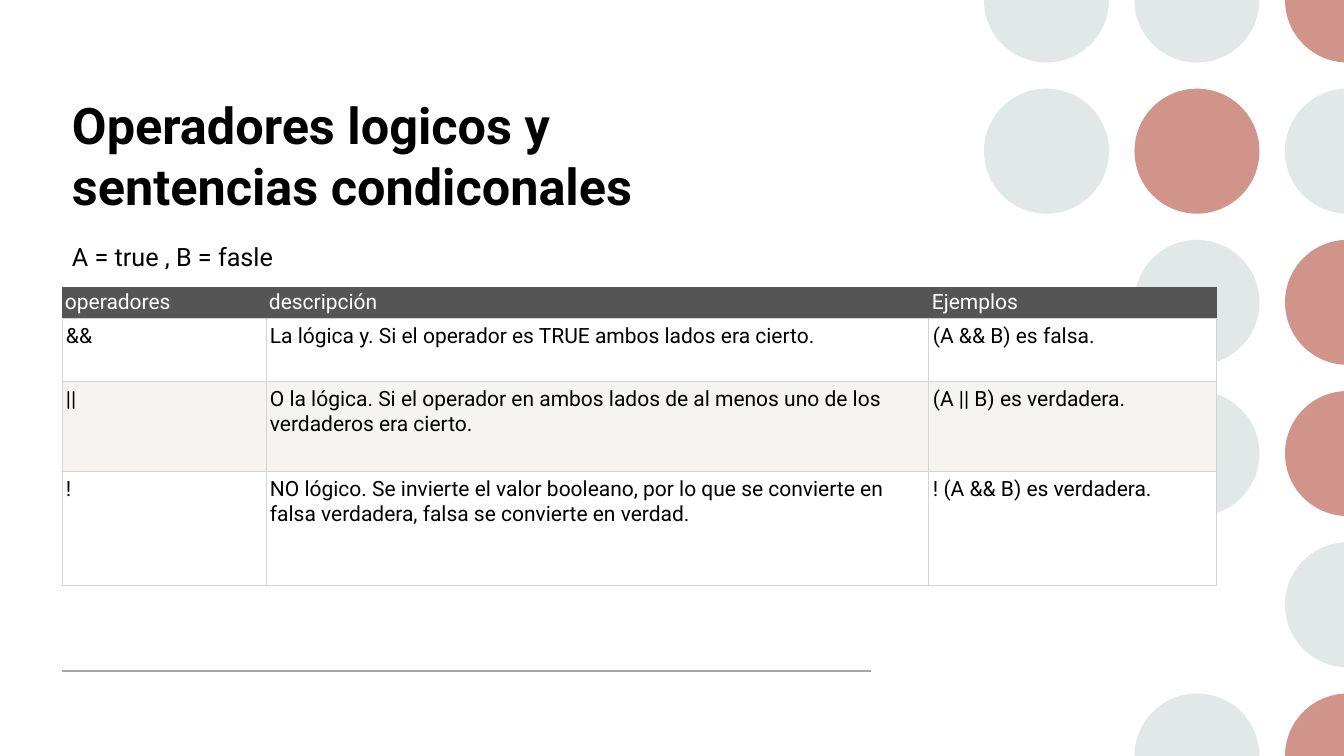
import math
from dataclasses import dataclass

from lxml import etree
from pptx import Presentation
from pptx import util as u
from pptx.dml.color import RGBColor
from pptx.enum import shapes, text
from pptx.oxml.ns import qn

EMU_PER_PX = 914400 / 100.8
SLIDE_W, SLIDE_H = 1344, 756


@dataclass(frozen=True)
class Theme:
    font: str = "Roboto"
    ink: str = "000000"
    paper: str = "FFFFFF"
    band: str = "F6F4F0"
    header: str = "555555"
    grid: str = "D4D4D4"
    rule: str = "A6A6A6"
    mist: str = "E2E7E8"
    clay: str = "D0948A"
    title_pt: int = 36
    note_pt: int = 18
    table_pt: int = 15


T = Theme()

DOTS = [
    (T.mist, T.mist, T.clay),
    (T.mist, T.clay, T.mist),
    (None, T.mist, T.clay),
    (None, T.mist, T.clay),
    (None, None, T.mist),
    (None, T.mist, T.clay),
]

ROWS = [
    ("operadores", "descripción", "Ejemplos"),
    ("&&", "La lógica y. Si el operador es TRUE ambos lados era cierto.",
     "(A && B) es falsa."),
    ("||", "O la lógica. Si el operador en ambos lados de al menos uno de los "
     "verdaderos era cierto.", "(A || B) es verdadera."),
    ("!", "NO lógico. Se invierte el valor booleano, por lo que se convierte en "
     "falsa verdadera, falsa se convierte en verdad.", "! (A && B) es verdadera."),
]


def px(n):
    return u.Emu(round(n * EMU_PER_PX))


def rgb(color):
    return RGBColor.from_string(color)


def write(tf, words, size, color=T.ink, bold=False):
    p = tf.paragraphs[0]
    p.alignment = text.PP_ALIGN.LEFT
    r = p.add_run()
    r.text = words
    r.font.name = T.font
    r.font.size = u.Pt(size)
    r.font.bold = bold
    r.font.color.rgb = rgb(color)


def set_insets(frame, x, y):
    frame.margin_left = frame.margin_right = px(x)
    frame.margin_top = frame.margin_bottom = px(y)


def add_point(path, tag, x, y):
    etree.SubElement(etree.SubElement(path, qn(tag)), qn("a:pt"), x=str(px(x)), y=str(px(y)))


def add_cut_dot(s, cx, cy, radius):
    left, right = cx - radius, min(cx + radius, SLIDE_W)
    top, bottom = max(cy - radius, 0), min(cy + radius, SLIDE_H)
    at_right, at_top, at_bottom = cx + radius > SLIDE_W, cy < radius, cy + radius > SLIDE_H
    cut = math.degrees(math.acos((right - cx) / radius))
    start = 180 if at_bottom else cut
    end = 180 if at_top else 360 - cut

    outline = s.shapes.build_freeform(px(left), px(top))
    outline.add_line_segments([(px(right), px(top)), (px(right), px(bottom)),
                               (px(left), px(bottom))])
    sp = outline.convert_to_shape()
    path = next(sp._element.iter(qn("a:path")))
    for step in list(path):
        path.remove(step)
    add_point(path, "a:moveTo", cx + radius * math.cos(math.radians(start)) - left,
              cy + radius * math.sin(math.radians(start)) - top)
    etree.SubElement(path, qn("a:arcTo"), wR=str(px(radius)), hR=str(px(radius)),
                     stAng=str(round(start * 60000)), swAng=str(round((end - start) * 60000)))
    if at_right and (at_top or at_bottom):
        add_point(path, "a:lnTo", right - left, 0 if at_top else bottom - top)
    etree.SubElement(path, qn("a:close"))
    return sp


def add_dot(s, cx, cy, radius, color):
    if cx + radius <= SLIDE_W and radius <= cy <= SLIDE_H - radius:
        sp = s.shapes.add_shape(shapes.MSO_SHAPE.OVAL, px(cx - radius), px(cy - radius),
                                px(2 * radius), px(2 * radius))
    else:
        sp = add_cut_dot(s, cx, cy, radius)
    sp.shadow.inherit = False
    sp.fill.solid()
    sp.fill.fore_color.rgb = rgb(color)
    sp.line.fill.background()


def add_dot_pattern(s, left, top, width, height):
    diameter = 125
    pitch = height / (len(DOTS) - 1)
    for row, colors in enumerate(DOTS):
        for col, color in enumerate(colors):
            if color:
                add_dot(s, left + diameter / 2 + col * width / 2, top + row * pitch,
                        diameter / 2, color)


def add_rule(s, left, top, width):
    line = s.shapes.add_connector(shapes.MSO_CONNECTOR.STRAIGHT, px(left), px(top),
                                  px(left + width), px(top))
    line.line.color.rgb = rgb(T.rule)
    line.line.width = u.Pt(1)
    etree.SubElement(line._element.spPr, qn("a:effectLst"))


def add_heading(s, left, top, width, height):
    title = s.shapes.title
    title.left, title.top, title.width, title.height = map(px, (left, top, width, height))
    tf = title.text_frame
    tf.word_wrap = True
    tf.auto_size = text.MSO_AUTO_SIZE.NONE
    tf.vertical_anchor = text.MSO_ANCHOR.MIDDLE
    set_insets(tf, 10, 5)
    write(tf, "Operadores logicos y sentencias condiconales", T.title_pt, bold=True)

    note = s.shapes.add_textbox(px(left), px(top + height + 11), px(237), px(40))
    tf = note.text_frame
    tf.word_wrap = False
    tf.auto_size = text.MSO_AUTO_SIZE.SHAPE_TO_FIT_TEXT
    set_insets(tf, 10, 5)
    write(tf, "A = true , B = fasle", T.note_pt)


def set_borders(cell, **colors):
    tcPr = cell._tc.get_or_add_tcPr()
    for i, side in enumerate("LRTB"):
        ln = etree.Element(qn("a:ln" + side), w=str(u.Pt(0.75)))
        fill = etree.SubElement(ln, qn("a:solidFill"))
        etree.SubElement(fill, qn("a:srgbClr"), val=colors.get(side, T.grid))
        tcPr.insert(i, ln)


def add_operator_table(s, left, top, widths, heights):
    frame = s.shapes.add_table(len(heights), len(widths), px(left), px(top),
                               px(sum(widths)), px(sum(heights)))
    table = frame.table
    table.horz_banding = False
    for column, width in zip(table.columns, widths):
        column.width = px(width)
    for i, (row, height, words) in enumerate(zip(table.rows, heights, ROWS)):
        row.height = px(height)
        header = i == 0
        fill = T.header if header else (T.paper if i % 2 else T.band)
        edges = dict.fromkeys("LTR", T.header) if header else {}
        for cell, label in zip(row.cells, words):
            cell.fill.solid()
            cell.fill.fore_color.rgb = rgb(fill)
            cell.vertical_anchor = text.MSO_ANCHOR.TOP
            set_insets(cell, *((3, 3) if header else (4, 6)))
            set_borders(cell, **edges)
            write(cell.text_frame, label, T.table_pt, T.paper if header else T.ink)


def build_operators_slide(prs):
    s = prs.slides.add_slide(prs.slide_layouts[5])
    s.background.fill.solid()
    s.background.fill.fore_color.rgb = rgb(T.paper)
    add_dot_pattern(s, 984, 0, 301, SLIDE_H)
    add_rule(s, 62, 671, 809)
    add_heading(s, 62, 85, 661, 140)
    add_operator_table(s, 62, 287, (204, 663, 288), (31, 63, 90, 114))


def main():
    prs = Presentation()
    prs.slide_width, prs.slide_height = px(SLIDE_W), px(SLIDE_H)
    build_operators_slide(prs)
    prs.save("out.pptx")


if __name__ == "__main__":
    main()
